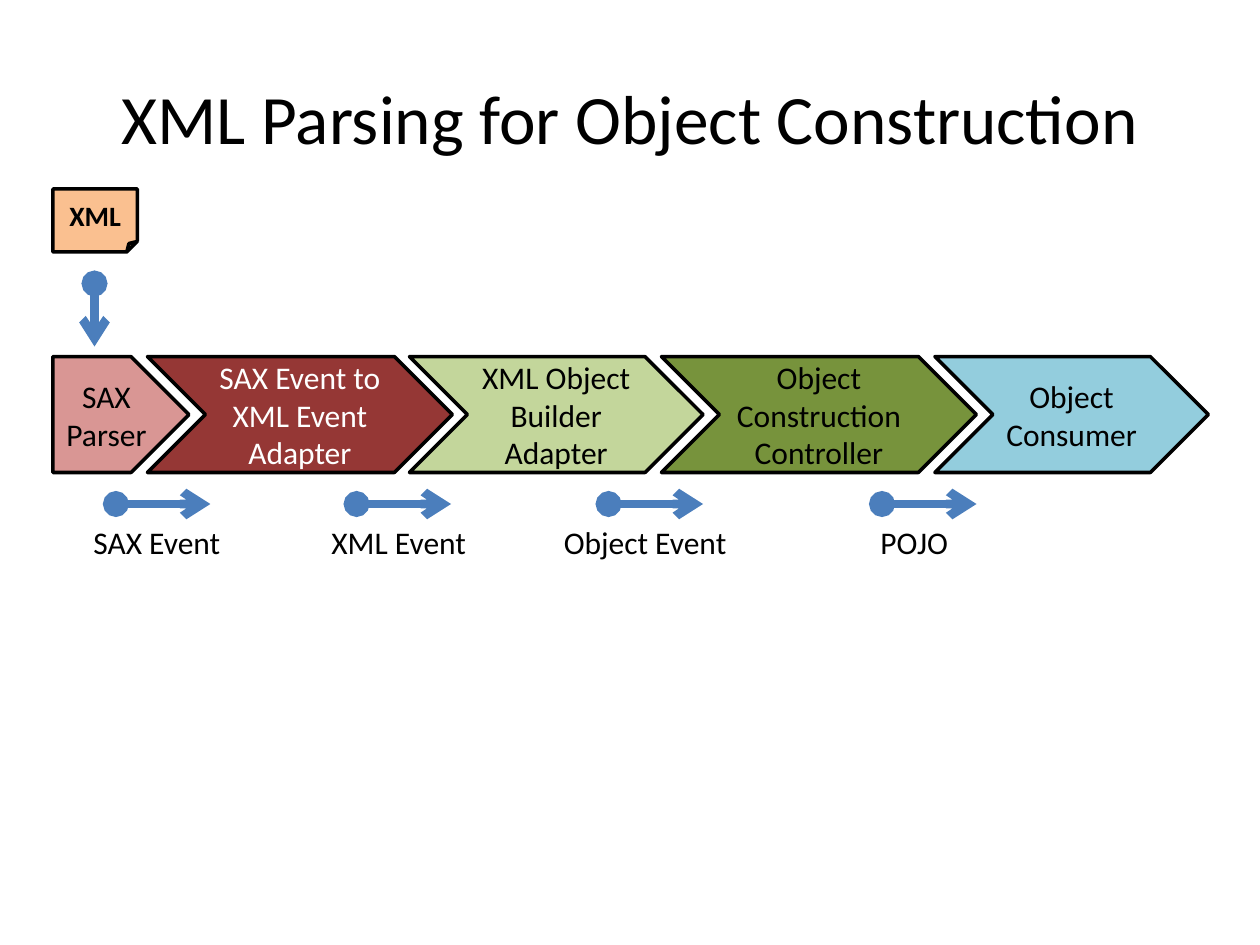
import pptx
import pptx.util
import pptx.dml.color
import pptx.enum.shapes
import pptx.enum.text
import pptx.oxml.ns
from lxml import etree

Inches, Pt = pptx.util.Inches, pptx.util.Pt
RGBColor = pptx.dml.color.RGBColor
MSO_SHAPE = pptx.enum.shapes.MSO_SHAPE
MSO_ANCHOR = pptx.enum.text.MSO_ANCHOR

BLACK = RGBColor(0x00, 0x00, 0x00)
WHITE = RGBColor(0xFF, 0xFF, 0xFF)
PINK = RGBColor(0xD9, 0x96, 0x94)
DARK_RED = RGBColor(0x95, 0x37, 0x35)
LIGHT_GREEN = RGBColor(0xC3, 0xD6, 0x9B)
GREEN = RGBColor(0x77, 0x93, 0x3C)
LIGHT_BLUE = RGBColor(0x93, 0xCD, 0xDD)
ORANGE = RGBColor(0xFA, 0xC0, 0x90)
ARROW_BLUE = RGBColor(0x4B, 0x7E, 0xBC)


def write(s, text, size, color=BLACK, bold=False):
    tf = s.text_frame
    tf.word_wrap = True
    p = tf.paragraphs[0]
    p.text = text
    p.alignment = pptx.enum.text.PP_ALIGN.CENTER
    p.font.name = "Calibri"
    p.font.size = Pt(size)
    p.font.bold = bold
    p.font.color.rgb = color
    return tf


prs = pptx.Presentation()
prs.slide_width, prs.slide_height = Inches(10), Inches(7.5)
slide = prs.slides.add_slide(prs.slide_layouts[5])

# Title
title = slide.shapes.title
title.left, title.top = Inches(0.5), Inches(0.3)
title.width, title.height = Inches(9), Inches(1.25)
tf = write(title, "XML Parsing for Object Construction", 39.6)
tf.vertical_anchor = MSO_ANCHOR.MIDDLE

# Pipeline stages and the XML document that feeds them
STAGE_TOP, STAGE_HEIGHT = 2.83, 0.92
boxes = [
    (MSO_SHAPE.PENTAGON, 0.42, STAGE_TOP, 1.08, STAGE_HEIGHT, PINK, "SAX Parser"),
    (MSO_SHAPE.CHEVRON, 1.17, STAGE_TOP, 2.42, STAGE_HEIGHT, DARK_RED,
     "SAX Event to XML Event Adapter"),
    (MSO_SHAPE.CHEVRON, 3.25, STAGE_TOP, 2.33, STAGE_HEIGHT, LIGHT_GREEN,
     "XML Object Builder Adapter"),
    (MSO_SHAPE.CHEVRON, 5.25, STAGE_TOP, 2.5, STAGE_HEIGHT, GREEN,
     "Object Construction Controller"),
    (MSO_SHAPE.CHEVRON, 7.42, STAGE_TOP, 2.17, STAGE_HEIGHT, LIGHT_BLUE,
     "Object Consumer"),
    (MSO_SHAPE.FOLDED_CORNER, 0.42, 1.5, 0.67, 0.5, ORANGE, "XML"),
]
for kind, left, top, width, height, fill, text in boxes:
    s = slide.shapes.add_shape(kind, Inches(left), Inches(top),
                               Inches(width), Inches(height))
    s.shadow.inherit = False
    s.fill.solid()
    s.fill.fore_color.rgb = fill
    s.line.color.rgb = BLACK
    s.line.width = Pt(2)
    is_document = kind == MSO_SHAPE.FOLDED_CORNER
    tf = write(s, text, 16 if is_document else 18,
               WHITE if fill == DARK_RED else BLACK, is_document)
    tf.vertical_anchor = MSO_ANCHOR.MIDDLE

# Event labels below the stages
for left, width, text in [(0.58, 1.33, "SAX Event"), (2.5, 1.33, "XML Event"),
                          (4.33, 1.58, "Object Event"), (6.67, 1.17, "POJO")]:
    s = slide.shapes.add_textbox(Inches(left), Inches(4.1), Inches(width), Inches(0.4))
    write(s, text, 18)

# Flow arrows: one per event, and one from the document down to the parser
arrows = [(x, 4, x + 0.75, 4) for x in (0.92, 2.83, 4.83, 7)]
arrows.append((0.75, 2.25, 0.75, 2.75))
for ends in arrows:
    c = slide.shapes.add_connector(pptx.enum.shapes.MSO_CONNECTOR.STRAIGHT,
                                   *[Inches(v) for v in ends])
    c.line.color.rgb = ARROW_BLUE
    c.line.width = Pt(5)
    ln = c.line._get_or_add_ln()
    for tag, end_type in (("a:headEnd", "oval"), ("a:tailEnd", "arrow")):
        etree.SubElement(ln, pptx.oxml.ns.qn(tag), type=end_type)
    etree.SubElement(c._element.spPr, pptx.oxml.ns.qn("a:effectLst"))

prs.save("out.pptx")
